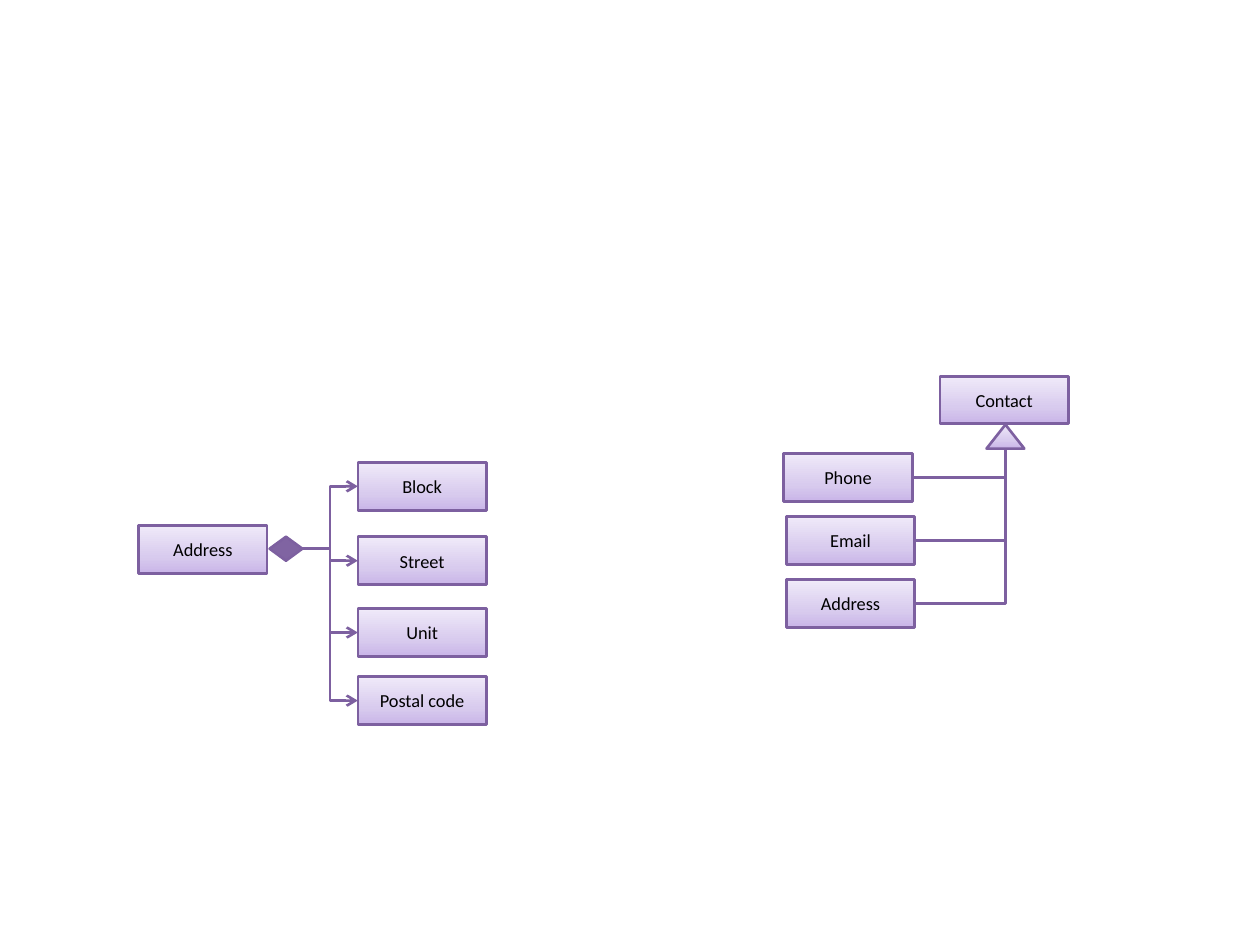
from copy import deepcopy
from dataclasses import dataclass

from lxml import etree
from pptx import Presentation
from pptx.dml.color import RGBColor
from pptx.enum.shapes import MSO_CONNECTOR, MSO_SHAPE
from pptx.enum.text import MSO_ANCHOR, PP_ALIGN
from pptx.oxml.ns import qn
from pptx.util import Inches, Pt

RECT = MSO_SHAPE.RECTANGLE
GEM = MSO_SHAPE.FLOWCHART_DECISION
PEAK = MSO_SHAPE.ISOSCELES_TRIANGLE
ELBOW = MSO_CONNECTOR.ELBOW
MIDDLE = MSO_ANCHOR.MIDDLE
CENTER = PP_ALIGN.CENTER
LEFT, RIGHT = 1, 3
PEAK_BASE = 3


@dataclass(frozen=True)
class Theme:
    line: str = "7D60A0"
    solid: str = "8064A2"
    ink: str = "000000"
    fade: tuple = ((0, "C9B5E8"), (0.35, "D8CBEE"), (1, "F0EAF9"))
    font: str = "Calibri"
    size: float = 10.5
    width: float = 1.5


@dataclass(frozen=True)
class Box:
    text: str
    x: float
    y: float
    w: float = 1.02
    h: float = 0.38


THEME = Theme()
WHOLE = Box("Address", 1.1, 4.17)
PARTS = [Box(text, 2.84, y) for text, y in
         (("Block", 3.67), ("Street", 4.26), ("Unit", 4.83), ("Postal code", 5.37))]
PARENT = Box("Contact", 7.46, 2.99, h=0.37)
KINDS = [Box("Phone", 6.22, 3.6), Box("Email", 6.24, 4.1), Box("Address", 6.24, 4.6)]


def color(code: str) -> RGBColor:
    return RGBColor.from_string(code)


def shade(shape) -> None:
    shape.fill.gradient()
    shape.fill.gradient_angle = 90
    stops = shape._element.spPr.find(".//" + qn("a:gsLst"))
    stops.append(deepcopy(stops[-1]))
    for stop, (place, code) in zip(shape.fill.gradient_stops, THEME.fade):
        stop.position = place
        stop.color.rgb = color(code)


def outline(item) -> None:
    item.line.color.rgb = color(THEME.line)
    item.line.width = Pt(THEME.width)


def write(shape, text: str, *, size: float, font: str, ink: str) -> None:
    frame = shape.text_frame
    frame.word_wrap = True
    frame.vertical_anchor = MIDDLE
    para = frame.paragraphs[0]
    para.alignment = CENTER
    run = para.add_run()
    run.text = text
    run.font.size = Pt(size)
    run.font.name = font
    run.font.color.rgb = color(ink)


def add_shape(slide, box: Box, kind=RECT, solid: bool = False):
    shape = slide.shapes.add_shape(
        kind, Inches(box.x), Inches(box.y), Inches(box.w), Inches(box.h))
    shape.shadow.inherit = False
    outline(shape)
    if solid:
        shape.fill.solid()
        shape.fill.fore_color.rgb = color(THEME.solid)
    else:
        shade(shape)
    if box.text:
        write(shape, box.text, size=THEME.size, font=THEME.font, ink=THEME.ink)
    return shape


def add_link(slide, start, end, site: int):
    link = slide.shapes.add_connector(ELBOW, 0, 0, 0, 0)
    link.begin_connect(start, RIGHT)
    link.end_connect(end, site)
    outline(link)
    etree.SubElement(link._element.spPr, qn("a:effectLst"))
    return link


def add_arrow(slide, start, end) -> None:
    link = add_link(slide, start, end, LEFT)
    etree.SubElement(link.line._get_or_add_ln(), qn("a:tailEnd"), type="arrow")


def add_branch(slide, child, peak) -> None:
    link = add_link(slide, child, peak, PEAK_BASE)
    link.end_x = peak.left + peak.width // 2
    link.end_y = peak.top + peak.height
    link._element.spPr.find(qn("a:prstGeom")).set("prst", "bentConnector2")


def main() -> None:
    deck = Presentation()
    deck.slide_width, deck.slide_height = Inches(10), Inches(7.5)
    slide = deck.slides.add_slide(deck.slide_layouts[6])

    add_shape(slide, WHOLE)
    gem = add_shape(slide, Box("", 2.14, 4.26, 0.26, 0.19), GEM, solid=True)
    for part in PARTS:
        add_arrow(slide, gem, add_shape(slide, part))

    add_shape(slide, PARENT)
    peak = add_shape(slide, Box("", 7.83, 3.37, 0.3, 0.19), PEAK)
    for kind in KINDS:
        add_branch(slide, add_shape(slide, kind), peak)

    deck.save("out.pptx")


if __name__ == "__main__":
    main()
